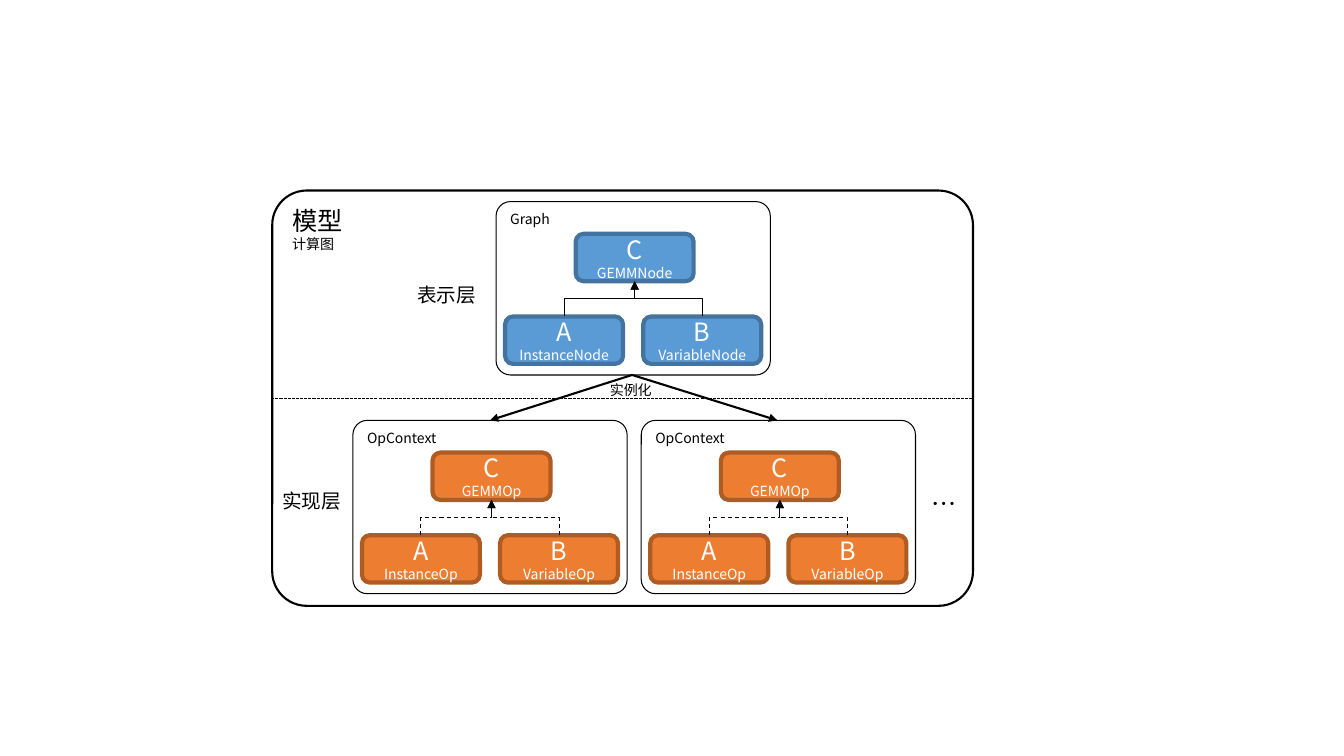
from lxml import etree
from pptx import Presentation
from pptx import util as u
from pptx.dml.color import RGBColor
from pptx.enum import dml, shapes, text
from pptx.oxml.ns import qn

FONT = "Noto Sans CJK SC"
BLACK = RGBColor(0x00, 0x00, 0x00)
WHITE = RGBColor(0xFF, 0xFF, 0xFF)
BLUE = RGBColor(0x5B, 0x9B, 0xD5)
DARK_BLUE = RGBColor(0x43, 0x73, 0x9E)
ORANGE = RGBColor(0xED, 0x7D, 0x31)
DARK_ORANGE = RGBColor(0xAF, 0x5C, 0x24)
NODE_WIDTH, NODE_HEIGHT = 1.17, 0.47
FRAME_WIDTH, FRAME_HEIGHT = 2.72, 1.72
ROUNDING = 0.083

presentation = Presentation()
presentation.slide_width = u.Inches(13.33)
presentation.slide_height = u.Inches(7.5)
slide = presentation.slides.add_slide(presentation.slide_layouts[6])


def add_text(box, lines, color=BLACK, **frame_format):
    """Write (wording, size) lines, one paragraph each, into a shape or text box."""
    frame = box.text_frame
    frame_format = {"word_wrap": True, "vertical_anchor": text.MSO_ANCHOR.TOP} | frame_format
    align = frame_format.pop("alignment", text.PP_ALIGN.LEFT)
    for name, value in frame_format.items():
        setattr(frame, name, value)
    for index, (wording, size) in enumerate(lines):
        paragraph = frame.add_paragraph() if index else frame.paragraphs[0]
        paragraph.alignment = align
        run = paragraph.add_run()
        run.text = wording
        for name, value in {"name": FONT, "size": u.Pt(size)}.items():
            setattr(run.font, name, value)
        run.font.color.rgb = color
        etree.SubElement(run.font._element, qn("a:ea"), typeface=FONT)


def add_line(kind, begin, end, width, dash=None, arrow=True):
    """Draw a black connector, with an arrowhead at its end if asked for."""
    points = [u.Inches(value) for value in (*begin, *end)]
    connector = slide.shapes.add_connector(kind, *points)
    connector.line.color.rgb = BLACK
    connector.line.width = u.Pt(width)
    if dash:
        connector.line.dash_style = dash
    if arrow:
        etree.SubElement(connector.line._get_or_add_ln(), qn("a:tailEnd"), type="triangle")
    etree.SubElement(connector._element.spPr, qn("a:effectLst"))
    return connector


# Rounded boxes, back to front: place, fill, line colour, line width, lines of text
boxes = [((2.7, 1.89, 6.95, 4.12), None, BLACK, 1.5, [("模型", 18), ("计算图", 10)])]
links = []
groups = [
    (3.5, 4.17, "OpContext", "Op", ORANGE, DARK_ORANGE, dml.MSO_LINE.DASH),
    (6.36, 4.17, "OpContext", "Op", ORANGE, DARK_ORANGE, dml.MSO_LINE.DASH),
    (4.92, 2.0, "Graph", "Node", BLUE, DARK_BLUE, None),
]
nodes = [("A", "Instance", 0.09, 1.14), ("B", "Variable", 1.46, 1.14), ("C", "GEMM", 0.79, 0.32)]
for left, top, title, suffix, fill, edge, dash in groups:
    for letter, kind, node_left, node_top in nodes:
        place = (left + node_left, top + node_top, NODE_WIDTH, NODE_HEIGHT)
        boxes.append((place, fill, edge, 3, [(letter, 18), (kind + suffix, 10)]))
    frame_place = (left, top, FRAME_WIDTH, FRAME_HEIGHT)
    boxes.append((frame_place, None, BLACK, 0.75, [(title, 10)]))
    parent_x = left + nodes[2][2] + NODE_WIDTH / 2
    for _, _, node_left, node_top in nodes[:2]:
        links.append((left + node_left + NODE_WIDTH / 2, top + node_top,
                      parent_x, top + nodes[2][3] + NODE_HEIGHT, dash))

for place, fill, edge, width, lines in boxes:
    shape = slide.shapes.add_shape(
        shapes.MSO_SHAPE.ROUNDED_RECTANGLE, *[u.Inches(value) for value in place])
    shape.shadow.inherit = False
    shape.line.color.rgb = edge
    shape.line.width = u.Pt(width)
    if fill:
        shape.fill.solid()
        shape.fill.fore_color.rgb = fill
        add_text(shape, lines, WHITE, alignment=text.PP_ALIGN.CENTER,
                 vertical_anchor=text.MSO_ANCHOR.MIDDLE)
    else:
        shape.fill.background()
        shape.adjustments[0] = ROUNDING
        add_text(shape, lines)

# Elbows leave the child upwards: a sideways elbow is turned a quarter about its middle
for child_x, child_y, parent_x, parent_y, dash in links:
    middle_x, middle_y = (child_x + parent_x) / 2, (child_y + parent_y) / 2
    half_rise, half_run = (child_y - parent_y) / 2, abs(parent_x - child_x) / 2
    side = 1 if child_x < parent_x else -1
    elbow = add_line(
        shapes.MSO_CONNECTOR.ELBOW,
        (middle_x + side * half_rise, middle_y + half_run),
        (middle_x - side * half_rise, middle_y - half_run), 0.75, dash)
    quarter_turn = 90 if side == 1 else 270
    elbow._element.spPr.find(qn("a:xfrm")).set("rot", str(quarter_turn * 60000))

# Layer divider and instantiation arrows
add_line(shapes.MSO_CONNECTOR.STRAIGHT, (9.64, 3.95), (2.7, 3.95), 0.75,
         dml.MSO_LINE.SQUARE_DOT, arrow=False)
for context_x in (4.86, 7.71):
    add_line(shapes.MSO_CONNECTOR.STRAIGHT, (6.27, 3.72), (context_x, 4.17), 1.5)

labels = [
    ("表示层", 14, (4.04, 2.76, 0.83, 0.34), True),
    ("实现层", 14, (2.7, 4.8, 0.83, 0.34), True),
    ("…", 18, (9.14, 4.8, 0.41, 0.4), False),
    ("实例化", 10, (5.95, 3.74, 0.62, 0.27), False),
]
for wording, size, place, wrap in labels:
    label = slide.shapes.add_textbox(*[u.Inches(value) for value in place])
    add_text(label, [(wording, size)], word_wrap=wrap,
             auto_size=text.MSO_AUTO_SIZE.SHAPE_TO_FIT_TEXT)

presentation.save("out.pptx")
